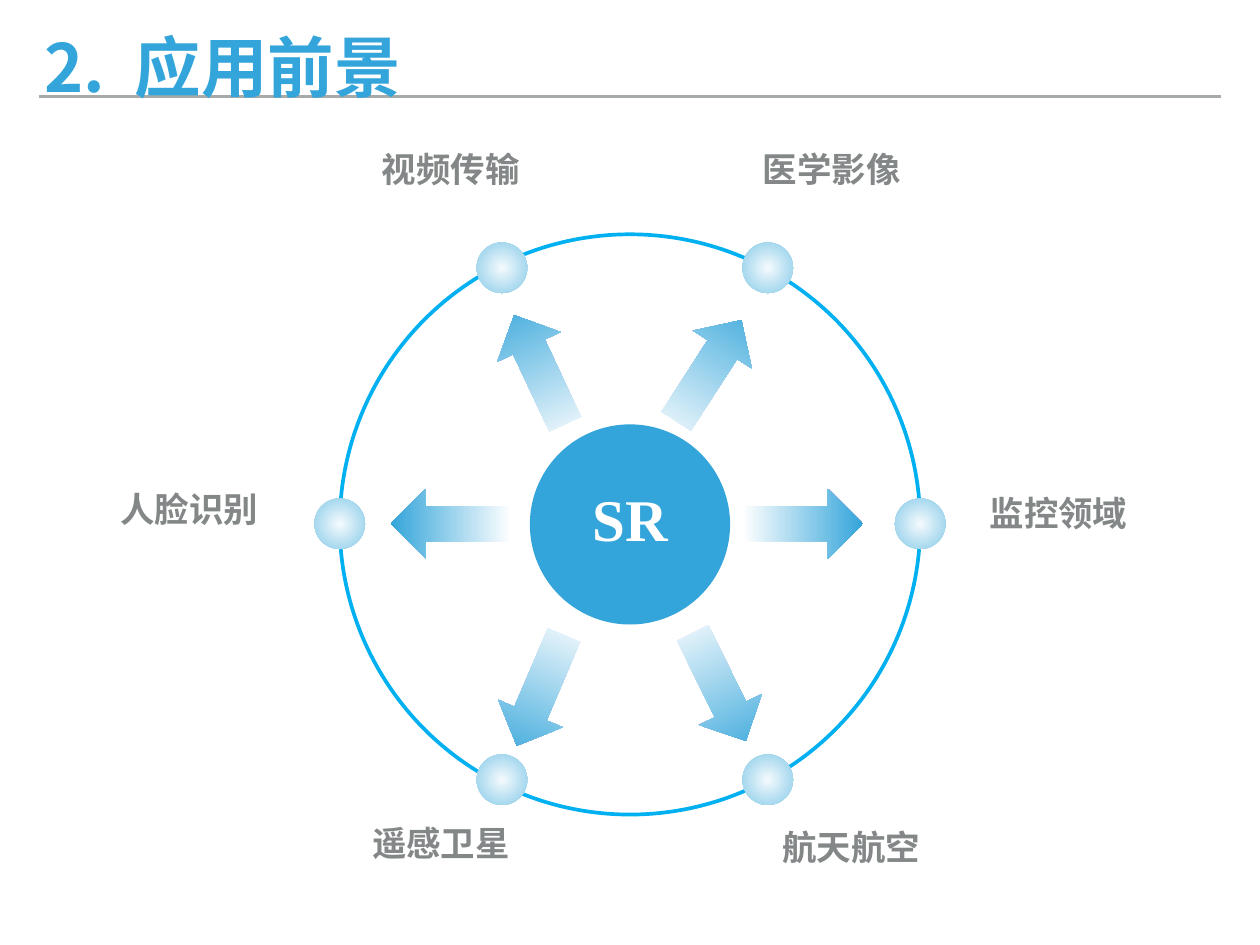
from lxml.etree import SubElement
from pptx import Presentation
from pptx.dml.color import RGBColor
from pptx.enum.shapes import MSO_CONNECTOR, MSO_SHAPE
from pptx.enum.text import MSO_ANCHOR, PP_ALIGN
from pptx.oxml.ns import qn
from pptx.util import Cm, Pt

BLUE, RING_BLUE, GREY, WHITE, RULE_GREY = "34A5DA", "00B0F0", "838787", "FFFFFF", "A6AAA9"
TITLE_FONT, LABEL_FONT, HUB_FONT = "Noto Sans CJK SC", "Roboto", "Times New Roman"

TITLE_RUNS = [("2.", 0), (" ", 12), ("应用前景", 0)]
HUB_TEXT = "SR"
SPOKES = [
    {"label": "视频传输", "corner": (10.8, 3.68), "dot": (14.39, 7.68), "arrow": (15.47, 10.6), "angle": 244.9},
    {"label": "医学影像", "corner": (21.72, 3.66), "dot": (22.01, 7.68), "arrow": (20.32, 10.63), "angle": 302.8},
    {"label": "人脸识别", "corner": (3.3, 13.41), "dot": (9.74, 15.02), "arrow": (12.93, 15.02), "angle": 180},
    {"label": "监控领域", "corner": (28.22, 13.54), "dot": (26.38, 15.02), "arrow": (23.01, 15.02), "angle": 0},
    {"label": "遥感卫星", "corner": (10.52, 22.99), "dot": (14.39, 22.36), "arrow": (15.49, 19.8), "angle": 113.1},
    {"label": "航天航空", "corner": (22.28, 23.11), "dot": (22.01, 22.36), "arrow": (20.62, 19.7), "angle": 63.8},
]
CENTER = (18.06, 15.04)
HUB_SIZE, RING_SIZE, DOT_SIZE = (5.74, 5.74), (16.64, 16.64), (1.45, 1.45)
ARROW_SIZE, LABEL_SIZE = (3.45, 2.01), (4.27, 2.34)
INSET = 0.15
DOT_STOPS = [(0, "F5FBFD"), (74, "A4D7EE"), (83, "A4D7EE"), (100, "C2E4F4")]
ARROW_STOPS = [(0, WHITE), (100, BLUE)]


def color(value):
    return RGBColor.from_string(value)


def add_centered(slide, kind, center, size):
    left, top = (middle - length / 2 for middle, length in zip(center, size))
    shape = slide.shapes.add_shape(kind, Cm(left), Cm(top), Cm(size[0]), Cm(size[1]))
    shape.shadow.inherit = False
    shape.line.fill.background()
    return shape


def fill_gradient(shape, stops, radial=False):
    shape.fill.gradient()
    gradient = shape.element.spPr.find(qn("a:gradFill"))
    for child in list(gradient):
        gradient.remove(child)
    gradient.set("rotWithShape", "1")
    stop_list = SubElement(gradient, qn("a:gsLst"))
    for percent, value in stops:
        stop = SubElement(stop_list, qn("a:gs"), pos=str(percent * 1000))
        SubElement(stop, qn("a:srgbClr"), val=value)
    if radial:
        circle = SubElement(gradient, qn("a:path"), path="circle")
        SubElement(circle, qn("a:fillToRect"), l="50000", t="50000", r="50000", b="50000")
    else:
        SubElement(gradient, qn("a:lin"), ang="0", scaled="0")


def prepare_frame(shape, wrap):
    frame = shape.text_frame
    frame.word_wrap = wrap
    frame.vertical_anchor = MSO_ANCHOR.MIDDLE
    frame.margin_left = frame.margin_right = frame.margin_top = frame.margin_bottom = Cm(INSET)
    return frame.paragraphs[0]


def add_run(paragraph, text, font_name, size, value):
    run = paragraph.add_run()
    run.text = text
    run.font.name = font_name
    run.font.size = Pt(size)
    run.font.bold = True
    run.font.color.rgb = color(value)
    SubElement(run.font._element, qn("a:ea"), typeface=font_name)
    return run


def add_title(slide):
    title = slide.shapes.title
    title.left, title.top, title.width, title.height = Cm(1.12), Cm(1.09), Cm(33.86), Cm(2.01)
    paragraph = prepare_frame(title, True)
    paragraph.alignment = PP_ALIGN.LEFT
    paragraph.line_spacing = 0.8
    paragraph.space_before = Pt(0)
    for text, spacing in TITLE_RUNS:
        run = add_run(paragraph, text, TITLE_FONT, 54, BLUE)
        if spacing:
            run.font._element.set("spc", str(spacing * 100))
    rule = slide.shapes.add_connector(MSO_CONNECTOR.STRAIGHT, Cm(1.12), Cm(2.77), Cm(35), Cm(2.77))
    rule.line.color.rgb = color(RULE_GREY)
    rule.line.width = Pt(2)
    SubElement(rule.element.spPr, qn("a:effectLst"))
    title.element.addprevious(rule.element)


def add_hub_and_ring(slide):
    hub = add_centered(slide, MSO_SHAPE.OVAL, CENTER, HUB_SIZE)
    hub.fill.solid()
    hub.fill.fore_color.rgb = color(BLUE)
    paragraph = prepare_frame(hub, True)
    paragraph.alignment = PP_ALIGN.CENTER
    paragraph.line_spacing = 0.8
    add_run(paragraph, HUB_TEXT, HUB_FONT, 48, WHITE)
    ring = add_centered(slide, MSO_SHAPE.OVAL, CENTER, RING_SIZE)
    ring.fill.background()
    ring.line.color.rgb = color(RING_BLUE)
    ring.line.width = Pt(3)


def add_spoke(slide, spoke):
    dot = add_centered(slide, MSO_SHAPE.OVAL, spoke["dot"], DOT_SIZE)
    fill_gradient(dot, DOT_STOPS, radial=True)
    arrow = add_centered(slide, MSO_SHAPE.RIGHT_ARROW, spoke["arrow"], ARROW_SIZE)
    arrow.rotation = spoke["angle"]
    fill_gradient(arrow, ARROW_STOPS)
    label = slide.shapes.add_textbox(*(Cm(length) for length in spoke["corner"] + LABEL_SIZE))
    add_run(prepare_frame(label, False), spoke["label"], LABEL_FONT, 28, GREY)


def main():
    presentation = Presentation()
    presentation.slide_width, presentation.slide_height = Cm(36.12), Cm(27.1)
    slide = presentation.slides.add_slide(presentation.slide_layouts[5])
    add_title(slide)
    add_hub_and_ring(slide)
    for spoke in SPOKES:
        add_spoke(slide, spoke)
    presentation.save("out.pptx")


if __name__ == "__main__":
    main()
